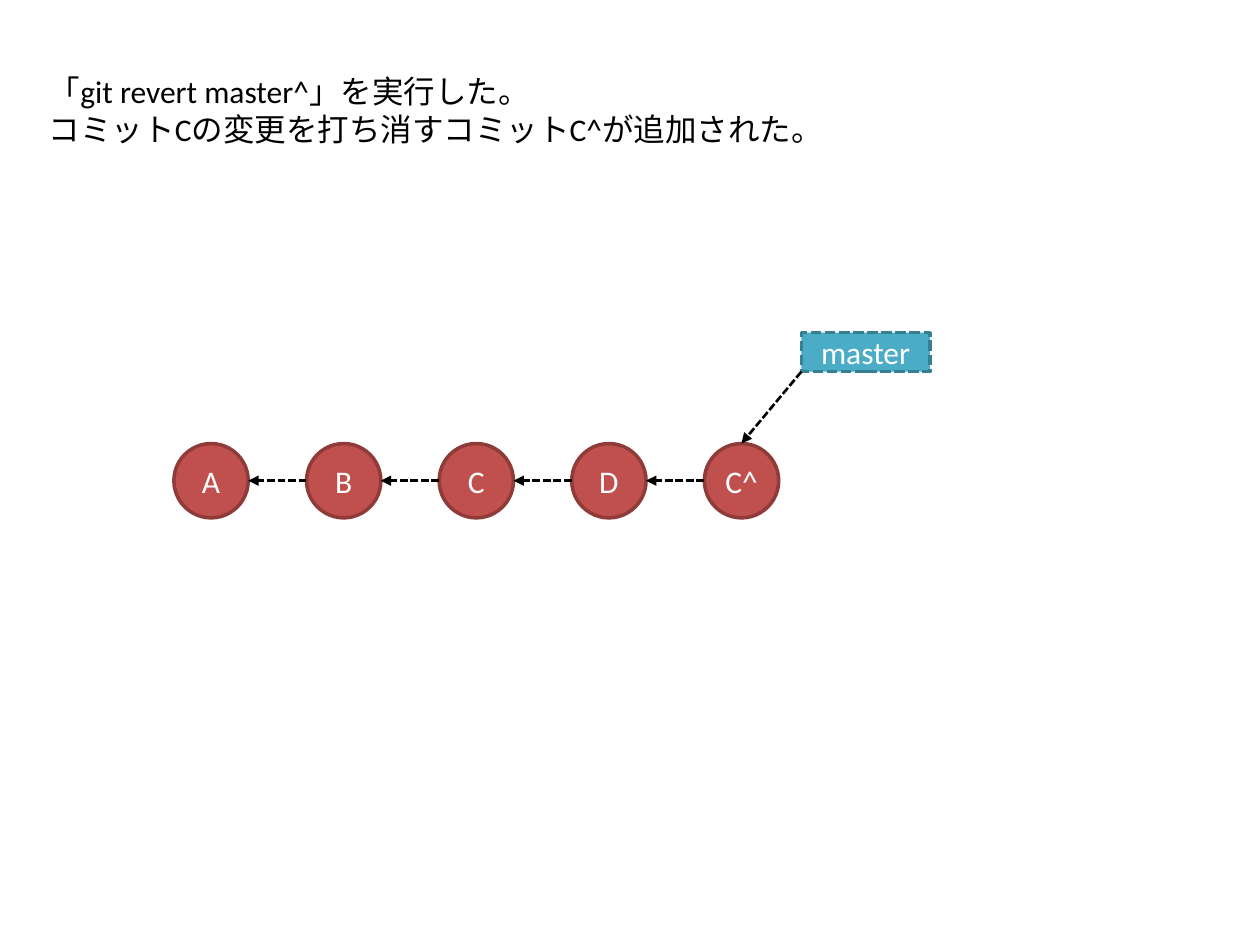
from lxml.etree import SubElement
from pptx import Presentation
from pptx.dml.color import RGBColor
from pptx.enum.dml import MSO_LINE
from pptx.enum.shapes import MSO_CONNECTOR, MSO_SHAPE
from pptx.enum.text import MSO_ANCHOR, PP_ALIGN
from pptx.oxml.ns import qn
from pptx.util import Inches, Pt


def add_node(kind, label, left, top, width, height, fill, border):
    """Add a filled, outlined shape with a centred white label."""
    node = page.shapes.add_shape(
        kind, Inches(left), Inches(top), Inches(width), Inches(height))
    node.shadow.inherit = False
    node.fill.solid()
    node.fill.fore_color.rgb = RGBColor.from_string(fill)
    node.line.color.rgb = RGBColor.from_string(border)
    node.line.width = Pt(2)
    frame = node.text_frame
    frame.margin_left = frame.margin_right = 0
    frame.word_wrap = False
    frame.vertical_anchor = MSO_ANCHOR.MIDDLE
    para = frame.paragraphs[0]
    para.text = label
    para.alignment = PP_ALIGN.CENTER
    para.font.name = "Calibri"
    para.font.size = Pt(18)
    para.font.color.rgb = RGBColor.from_string("FFFFFF")
    return node


def add_dashed_arrow(start_x, start_y, end_x, end_y):
    arrow = page.shapes.add_connector(
        MSO_CONNECTOR.STRAIGHT,
        Inches(start_x), Inches(start_y), Inches(end_x), Inches(end_y))
    arrow.line.color.rgb = RGBColor.from_string("000000")
    arrow.line.width = Pt(1.5)
    arrow.line.dash_style = MSO_LINE.SQUARE_DOT
    SubElement(arrow.line._get_or_add_ln(), qn("a:tailEnd"), type="triangle")
    SubElement(arrow._element.spPr, qn("a:effectLst"))
    return arrow


deck = Presentation()
deck.slide_width, deck.slide_height = Inches(10), Inches(7.5)
page = deck.slides.add_slide(deck.slide_layouts[6])

# Explanation
box = page.shapes.add_textbox(Inches(0.29), Inches(0.52), Inches(9.43), Inches(0.71))
box.text_frame.word_wrap = True
box.text_frame.text = (
    "「git revert master^」を実行した。\n"
    "コミットCの変更を打ち消すコミットC^が追加された。")
for para in box.text_frame.paragraphs:
    para.font.name = "Calibri"
    para.font.size = Pt(18)
    para.font.color.rgb = RGBColor.from_string("000000")

# Commits, each pointing back to its parent
commits = ["A", "B", "C", "D", "C^"]
first_left, last_left = 1.38, 5.59
pitch = (last_left - first_left) / (len(commits) - 1)
commit_top, diameter = 3.52, 0.59
middle = commit_top + diameter / 2
for index, name in enumerate(commits):
    left = first_left + index * pitch
    commit = add_node(MSO_SHAPE.OVAL, name, left, commit_top,
                      diameter, diameter, "C0504D", "8E3B39")
    if index:
        add_dashed_arrow(left, middle, left - pitch + diameter, middle)

# Branch label, pointing at the newest commit
branch_left, branch_top, branch_height = 6.36, 2.64, 0.31
branch = add_node(MSO_SHAPE.RECTANGLE, "master", branch_left, branch_top,
                  1.02, branch_height, "4BACC6", "377F92")
branch.line.dash_style = MSO_LINE.SQUARE_DOT
pointer = add_dashed_arrow(branch_left, branch_top + branch_height,
                           last_left + diameter / 2, commit_top)
pointer.end_connect(commit, 0)

deck.save("out.pptx")
